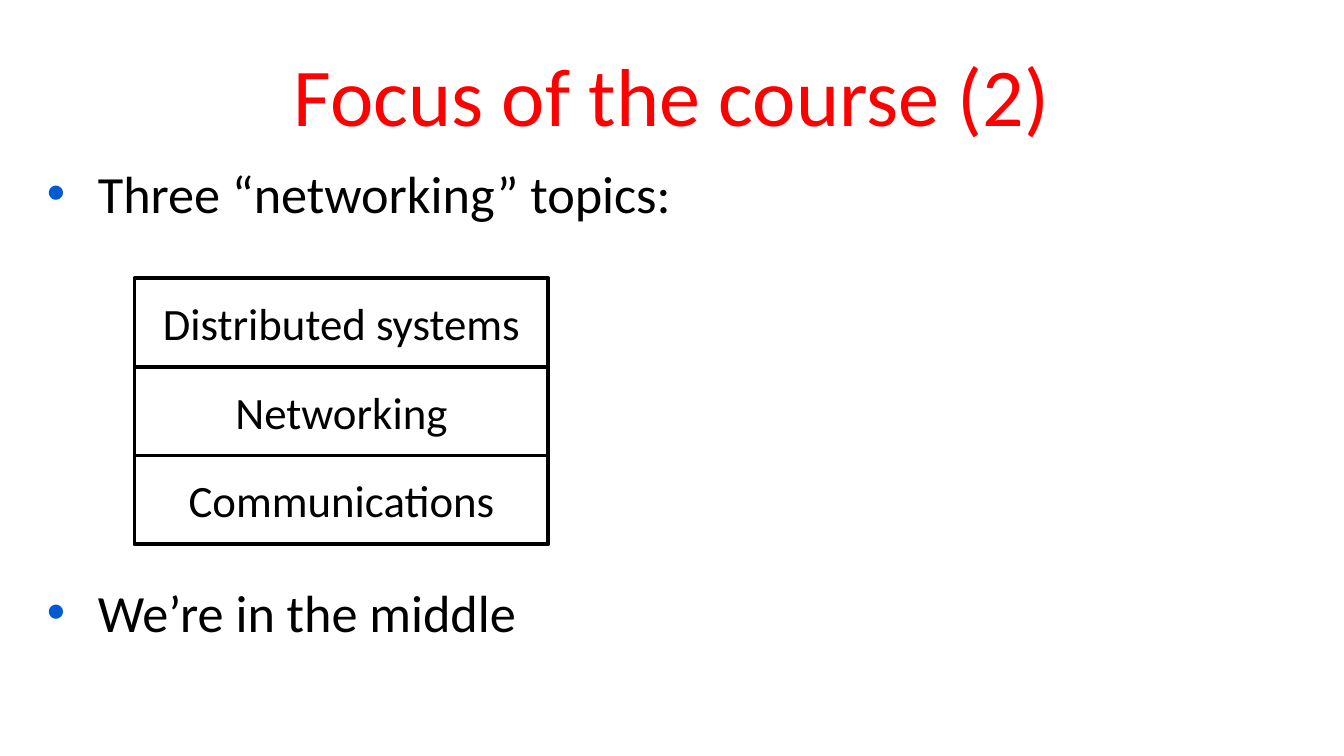
from lxml import etree
from pptx import Presentation
from pptx.dml.color import RGBColor
from pptx.enum import shapes, text
from pptx.oxml import ns
from pptx.util import Inches, Pt

# Content
TITLE = "Focus of the course (2)"
POINTS = ["Three “networking” topics:", "We’re in the middle"]
LAYERS = ["Distributed systems", "Networking", "Communications"]

COLORS = {"title": "FF0000", "ink": "000000", "bullet": "005BD3", "paper": "FFFFFF"}
FONT = "Calibri"
WIDTH = 10
HEIGHT = WIDTH * 9 / 16
INDENT = 0.38
POINT_GAP = 190.8  # leaves room for the stack between the two points
STACK = {"left": 1, "top": 2.07, "width": 3.08, "height": 0.66}


def color(name):
    return RGBColor.from_string(COLORS[name])


def write(shape, lines, size, ink="ink", align=text.PP_ALIGN.CENTER,
          anchor=text.MSO_ANCHOR.MIDDLE, gap=0, bullet=None):
    frame = shape.text_frame
    frame.word_wrap = True
    frame.vertical_anchor = anchor
    for i, line in enumerate(lines):
        para = frame.paragraphs[0] if i == 0 else frame.add_paragraph()
        para.alignment = align
        para.space_before = Pt(gap if i else 0)
        run = para.add_run()
        run.text = line
        run.font.name = FONT
        run.font.size = Pt(size)
        run.font.color.rgb = color(ink)
        if bullet:
            add_bullet(para, bullet)


def add_bullet(para, name):
    props = para._p.get_or_add_pPr()
    props.set("marL", str(Inches(INDENT)))
    props.set("indent", str(-Inches(INDENT)))
    tint = etree.SubElement(props, ns.qn("a:buClr"))
    etree.SubElement(tint, ns.qn("a:srgbClr"), val=COLORS[name])
    etree.SubElement(props, ns.qn("a:buFont"), typeface="Arial")
    etree.SubElement(props, ns.qn("a:buChar"), char="•")


def main():
    deck = Presentation()
    deck.slide_width, deck.slide_height = Inches(WIDTH), Inches(HEIGHT)
    slide = deck.slides.add_slide(deck.slide_layouts[6])

    # Title
    title = slide.shapes.add_textbox(*map(Inches, (0.25, 0.23, 9.5, 0.94)))
    write(title, [TITLE], 44, ink="title")

    # Points above and below the stack
    body = slide.shapes.add_textbox(*map(Inches, (0.25, 1.15, 6.25, 3.92)))
    write(body, POINTS, 28, align=text.PP_ALIGN.LEFT, anchor=text.MSO_ANCHOR.TOP,
          gap=POINT_GAP, bullet="bullet")

    # Stack of layers
    for i, name in enumerate(LAYERS):
        top = STACK["top"] + i * STACK["height"]
        place = STACK["left"], top, STACK["width"], STACK["height"]
        box = slide.shapes.add_shape(shapes.MSO_SHAPE.RECTANGLE, *map(Inches, place))
        box.shadow.inherit = False
        box.fill.solid()
        box.fill.fore_color.rgb = color("paper")
        box.line.color.rgb = color("ink")
        box.line.width = Pt(2)
        write(box, [name], 24)

    deck.save("out.pptx")


if __name__ == "__main__":
    main()
